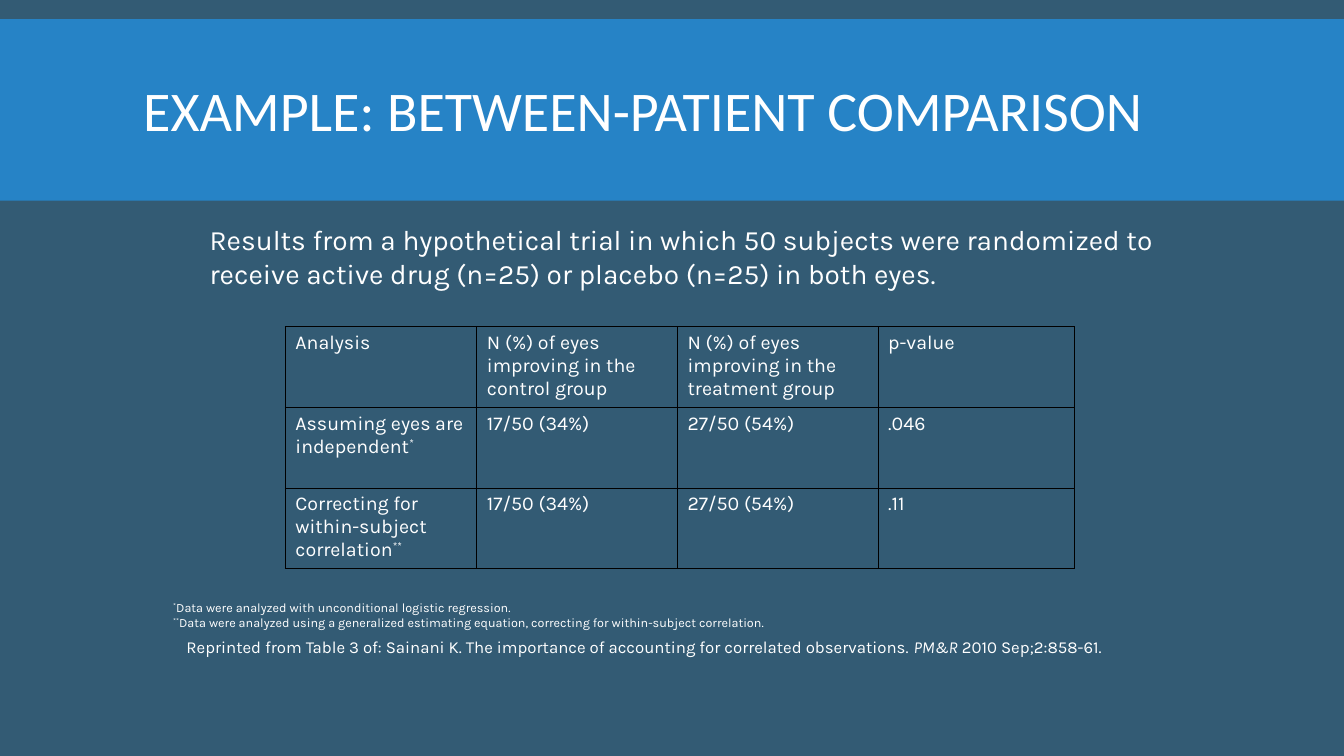
from pptx import Presentation
from pptx.dml.color import RGBColor
from pptx.enum import shapes, text
from pptx.oxml import parse_xml
from pptx.oxml.ns import nsdecls
from pptx.util import Pt

PX = 9144  # EMU per px, 100 px to the inch
WHITE, BLACK, SLATE, BLUE = "FFFFFF", "000000", "335B74", "2683C6"
BODY_FONT, TITLE_FONT = "Karla", "Calibri"

ANALYSES = [
    [[["Analysis"]],
     [["N (%) of eyes improving in the"], ["control group"]],
     [["N (%) of eyes improving in the"], ["treatment group"]],
     [["p-value"]]],
    [[["Assuming eyes are independent", ("*", "sup")]],
     [["17/50 (34%)"]], [["27/50 (54%)"]], [[".046"]]],
    [[["Correcting for within-subject correlation", ("**", "sup")]],
     [["17/50 (34%)"]], [["27/50 (54%)"]], [[".11"]]],
]


def emu(*lengths):
    return [length * PX for length in lengths]


def color(hex_code):
    return RGBColor.from_string(hex_code)


def write(frame, paragraphs, size, font=BODY_FONT):
    """Each paragraph is a list of plain strings or (string, style) pairs."""
    for index, pieces in enumerate(paragraphs):
        paragraph = frame.paragraphs[0] if index == 0 else frame.add_paragraph()
        paragraph.alignment = text.PP_ALIGN.LEFT
        for piece in pieces:
            words, style = (piece, "") if isinstance(piece, str) else piece
            run = paragraph.add_run()
            run.text = words
            run.font.size = Pt(size)
            run.font.name = font
            run.font.color.rgb = color(WHITE)
            if style == "italic":
                run.font.italic = True
            elif style == "sup":
                run.font._element.set("baseline", "30000")


def add_heading(slide, box, title_box, words):
    title = slide.shapes.title
    title.left, title.top, title.width, title.height = emu(*title_box)
    frame = title.text_frame
    frame.vertical_anchor = text.MSO_ANCHOR.MIDDLE
    frame.auto_size = text.MSO_AUTO_SIZE.NONE
    write(frame, [[words]], 40, TITLE_FONT)
    frame.paragraphs[0].line_spacing = 0.85

    # The band goes behind the title
    band = slide.shapes.add_shape(shapes.MSO_SHAPE.RECTANGLE, *emu(*box))
    band.shadow.inherit = False
    band.fill.solid()
    band.fill.fore_color.rgb = color(BLUE)
    band.line.fill.background()
    title._element.addprevious(band._element)


def add_text(slide, box, paragraphs, size, wrap=True):
    frame = slide.shapes.add_textbox(*emu(*box)).text_frame
    frame.word_wrap = wrap
    frame.auto_size = text.MSO_AUTO_SIZE.SHAPE_TO_FIT_TEXT
    frame.vertical_anchor = text.MSO_ANCHOR.MIDDLE
    write(frame, paragraphs, size)


def set_borders(cell, widths):
    properties = cell._tc.get_or_add_tcPr()
    for index, (side, points) in enumerate(widths.items()):
        properties.insert(index, parse_xml(
            f'<a:{side} {nsdecls("a")} w="{Pt(points)}"><a:solidFill>'
            f'<a:srgbClr val="{BLACK}"/></a:solidFill></a:{side}>'))


def add_results(slide, box, column_widths, rows):
    table = slide.shapes.add_table(
        len(rows), len(column_widths), *emu(*box)).table
    table.first_row = table.horz_banding = False
    for column, width in zip(table.columns, column_widths):
        column.width = width * PX
    # Outer edges and the header rule are slightly heavier
    rules = [0.96, 0.96, 0.75, 0.96]
    for r, row in enumerate(rows):
        table.rows[r].height = box[3] * PX // len(rows)
        for c, paragraphs in enumerate(row):
            cell = table.cell(r, c)
            cell.fill.background()
            set_borders(cell, {"lnL": 0.75, "lnR": 0.75,
                               "lnT": rules[r], "lnB": rules[r + 1]})
            write(cell.text_frame, paragraphs, 14)


def main():
    deck = Presentation()
    deck.slide_width, deck.slide_height = emu(1333, 750)
    slide = deck.slides.add_slide(deck.slide_layouts[5])
    slide.background.fill.solid()
    slide.background.fill.fore_color.rgb = color(SLATE)

    # Heading and introduction
    add_heading(slide, (0, 19, 1333, 180), (132, 31, 1070, 165),
                "EXAMPLE: BETWEEN-PATIENT COMPARISON")
    add_text(slide, (198, 199, 999, 110), [[
        "Results from a hypothetical trial in which 50 subjects were randomized "
        "to receive active drug (n=25) or placebo (n=25) in both eyes."]], 20)

    # Results table
    add_results(slide, (283, 324, 783, 240), [190, 199, 199, 195], ANALYSES)

    # Footnotes and citation
    add_text(slide, (162, 590, 670, 40), [
        [("*", "sup"),
         "Data were analyzed with unconditional logistic regression."],
        [("**", "sup"),
         "Data were analyzed using a generalized estimating equation, "
         "correcting for within-subject correlation."]], 9, wrap=False)
    add_text(slide, (175, 617, 992, 50), [[
        "Reprinted from Table 3 of: Sainani K. The importance of accounting "
        "for correlated observations. ",
        ("PM&R", "italic"), " 2010 Sep;2:858-61."]], 12)

    deck.save("out.pptx")


if __name__ == "__main__":
    main()
